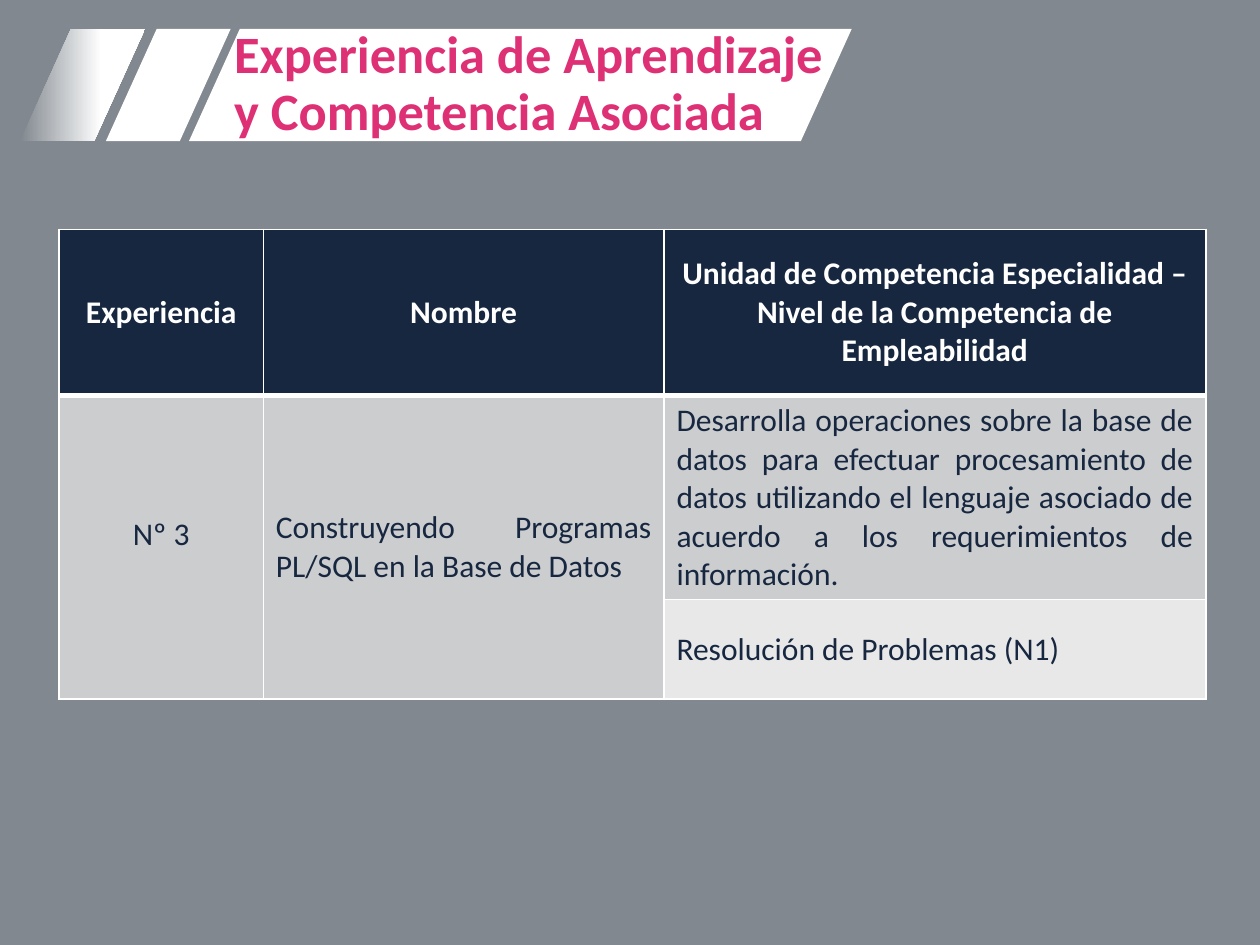
from lxml.etree import SubElement
from pptx import Presentation
from pptx.dml.color import RGBColor
from pptx.enum.shapes import MSO_SHAPE as Shape
from pptx.enum.text import MSO_ANCHOR as Anchor, PP_ALIGN as Align
from pptx.oxml.ns import qn
from pptx.util import Inches, Pt

COLORS = {
    "background": "81888F",
    "white": "FFFFFF",
    "navy": "172740",
    "pink": "DE3075",
    "band_dark": "CCCDCF",
    "band_light": "E8E8E8",
}


def rgb(name):
    return RGBColor.from_string(COLORS[name])


class SlideBuilder:
    font_name = "Calibri"

    def __init__(self, slide):
        self.slide = slide
        slide.background.fill.solid()
        slide.background.fill.fore_color.rgb = rgb("background")

    def style(self, paragraph, size, color, bold):
        font = paragraph.font
        font.name, font.size, font.bold = self.font_name, Pt(size), bold
        font.color.rgb = rgb(color)

    def stripe(self, left, width, fade=False):
        stripe = self.slide.shapes.add_shape(
            Shape.PARALLELOGRAM, Inches(left), Inches(0.23), Inches(width), Inches(0.89))
        stripe.adjustments[0] = 0.453
        stripe.shadow.inherit = False
        stripe.line.fill.background()
        if fade:
            stripe.fill.gradient()
            stripe.fill.gradient_angle = 0
            stops = zip(stripe.fill.gradient_stops, (0, 0.65), ("background", "white"))
            for stop, position, color in stops:
                stop.position = position
                stop.color.rgb = rgb(color)
        else:
            stripe.fill.solid()
            stripe.fill.fore_color.rgb = rgb("white")

    def title(self, text):
        box = self.slide.shapes.add_textbox(
            Inches(1.76), Inches(0.23), Inches(5.02), Inches(0.89))
        frame = box.text_frame
        frame.word_wrap = True
        frame.vertical_anchor = Anchor.MIDDLE
        frame.text = text
        heading = frame.paragraphs[0]
        heading.line_spacing = 0.9
        self.style(heading, 30, "pink", True)

    def table(self, left, top, widths, heights):
        table = self.slide.shapes.add_table(
            len(heights), len(widths), Inches(left), Inches(top),
            Inches(sum(widths)), Inches(sum(heights))).table
        for column, width in zip(table.columns, widths):
            column.width = Inches(width)
        for row, height in zip(table.rows, heights):
            row.height = Inches(height)
        return table

    def borders(self, cell, bottom, top):
        properties = cell._tc.get_or_add_tcPr()
        for side, points in (("L", 1), ("R", 1), ("T", top), ("B", bottom)):
            line = SubElement(properties, qn(f"a:ln{side}"), w=str(Pt(points)))
            SubElement(SubElement(line, qn("a:solidFill")), qn("a:srgbClr"), val=COLORS["white"])

    def cell(self, cell, text, fill, align, color="navy", bold=False, top=1, bottom=1):
        self.borders(cell, bottom, top)
        cell.fill.solid()
        cell.fill.fore_color.rgb = rgb(fill)
        cell.vertical_anchor = Anchor.MIDDLE
        cell.text = text
        paragraph = cell.text_frame.paragraphs[0]
        paragraph.alignment = align
        self.style(paragraph, 18, color, bold)


def main():
    deck = Presentation()
    deck.slide_width, deck.slide_height = Inches(10), Inches(7.5)
    builder = SlideBuilder(deck.slides.add_slide(deck.slide_layouts[6]))

    builder.stripe(0.84, 0.99)
    builder.stripe(0.16, 0.99, fade=True)
    builder.stripe(1.5, 5.26)
    builder.title("Experiencia de Aprendizaje\vy Competencia Asociada")

    table = builder.table(0.47, 1.82, (1.62, 3.18, 4.3), (1.32, 1.62, 0.79))
    headers = (
        "Experiencia",
        "Nombre",
        "Unidad de Competencia Especialidad – Nivel de la Competencia de Empleabilidad",
    )
    experience = (
        ("Nº 3", Align.CENTER),
        ("Construyendo Programas PL/SQL en la Base de Datos", Align.JUSTIFY),
        ("Desarrolla operaciones sobre la base de datos para efectuar procesamiento de "
         "datos utilizando el lenguaje asociado de acuerdo a los requerimientos de "
         "información.", Align.JUSTIFY),
    )
    for column, header in enumerate(headers):
        builder.cell(table.cell(0, column), header, "navy", Align.CENTER, "white", True, bottom=3)
    for column, (text, align) in enumerate(experience):
        builder.cell(table.cell(1, column), text, "band_dark", align, top=3)
    for column in range(2):
        builder.borders(table.cell(2, column), 1, 1)
        table.cell(1, column).merge(table.cell(2, column))
    table.cell(1, 0).margin_bottom = Inches(0.25)
    builder.cell(table.cell(2, 2), "Resolución de Problemas (N1)", "band_light", Align.JUSTIFY)

    deck.save("out.pptx")


if __name__ == "__main__":
    main()
